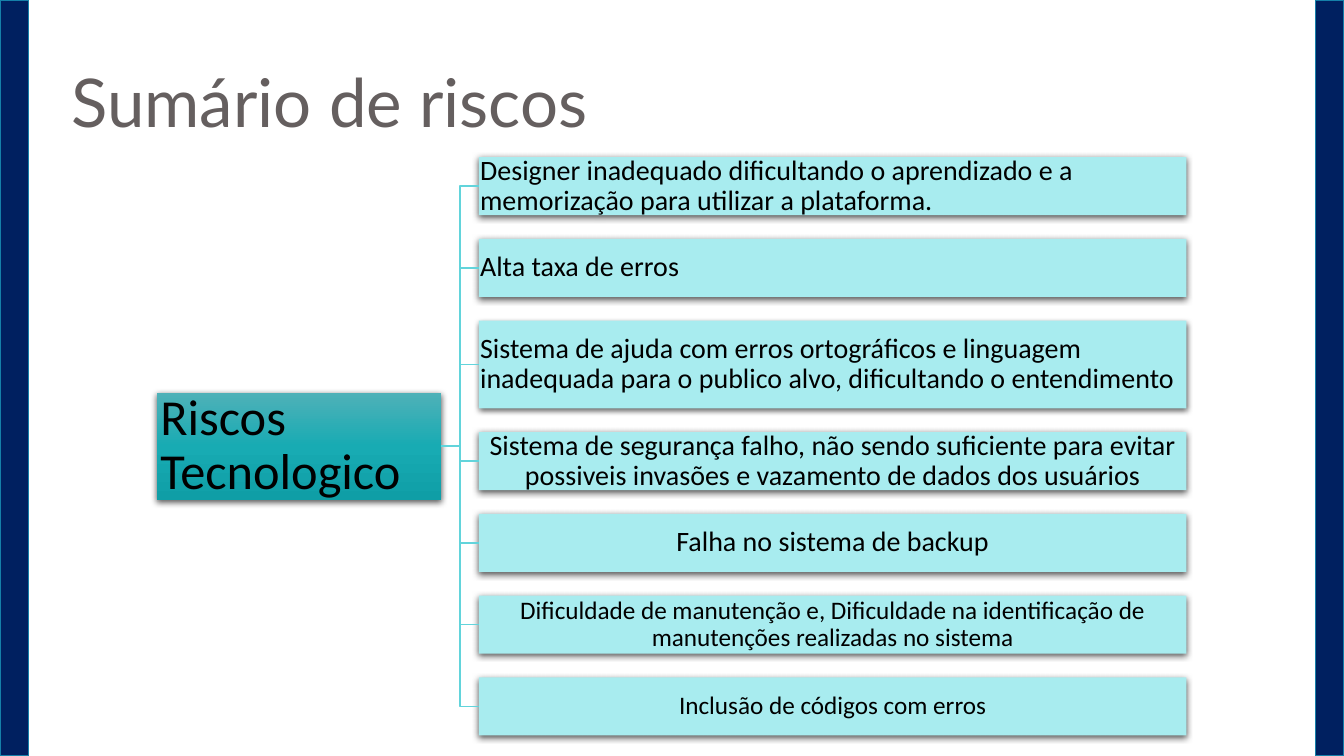
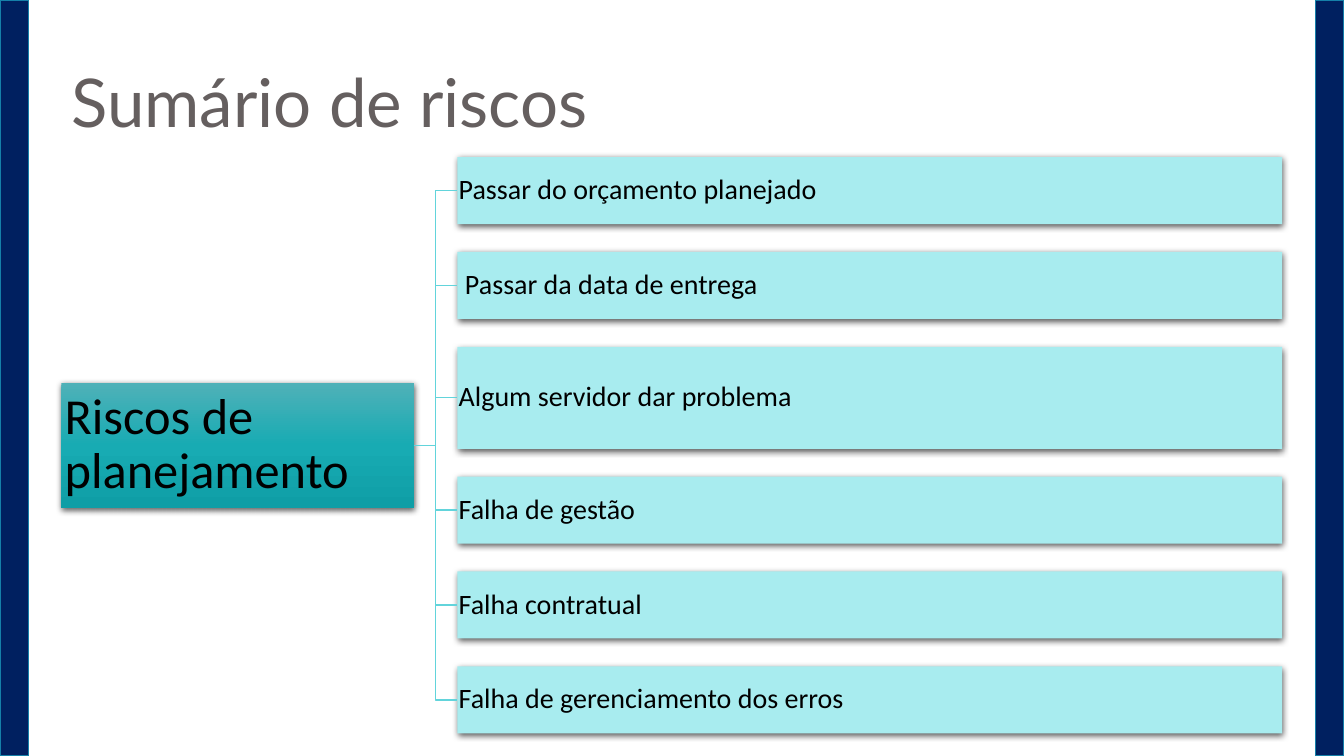
from copy import deepcopy
from dataclasses import dataclass

from lxml import etree
from pptx import Presentation
from pptx.dml.color import RGBColor
from pptx.enum import shapes, text
from pptx.oxml import ns
from pptx.util import Cm, Pt

NAVY = RGBColor(0x00, 0x20, 0x60)
BAND_EDGE = RGBColor(0x15, 0x80, 0xA9)
TITLE_GREY = RGBColor(0x65, 0x5F, 0x5F)
BLACK = RGBColor(0x00, 0x00, 0x00)
BRANCH = RGBColor(0x62, 0xD4, 0xDB)
RISK_FILL = RGBColor(0xA8, 0xEC, 0xEF)
CATEGORY_STOPS = (
    (0, RGBColor(0x4F, 0xB1, 0xB8)),
    (0.5, RGBColor(0x18, 0xAB, 0xB3)),
    (1, RGBColor(0x0F, 0x9E, 0xA6)),
)
BODY_FONT, TITLE_FONT = "Calibri", "Lato"

# Lengths in centimetres
SLIDE_W, SLIDE_H = 33.87, 19.05
BAND_W = 0.72
TREE_TOP = 3.96
RIGHT_SITE, LEFT_SITE = 3, 1  # connection sites of a rectangle

LEFT, CENTER = text.PP_ALIGN.LEFT, text.PP_ALIGN.CENTER


@dataclass
class Risk:
    wording: str
    align: text.PP_ALIGN = LEFT
    size: int = 20
    tall: bool = False


@dataclass
class RiskTree:
    category: str
    category_box: tuple  # left, width, height
    risk_left: float
    risk_width: float
    risk_height: float
    tall_height: float
    gap: float
    risks: list


TREES = [
    RiskTree("Riscos Tecnologico", (3.96, 7.15, 2.7), 12.07, 17.83, 1.46, 2.21, 0.6, [
        Risk("Designer inadequado dificultando o aprendizado e a memorização "
             "para utilizar a plataforma."),
        Risk("Alta taxa de erros"),
        Risk("Sistema de ajuda com erros ortográficos e linguagem inadequada "
             "para o publico alvo, dificultando o entendimento", tall=True),
        Risk("Sistema de segurança falho, não sendo suficiente para evitar "
             "possiveis invasões e vazamento de dados dos usuários", CENTER),
        Risk("Falha no sistema de backup", CENTER),
        Risk("Dificuldade de manutenção e, Dificuldade na identificação de "
             "manutenções realizadas no sistema", CENTER, 18),
        Risk("Inclusão de códigos com erros", CENTER, 18),
    ]),
    RiskTree("Riscos de planejamento", (1.55, 8.88, 3.15), 11.53, 20.78, 1.69, 2.57, 0.7, [
        Risk("Passar do orçamento planejado"),
        Risk(" Passar da data de entrega"),
        Risk("Algum servidor dar problema", tall=True),
        Risk("Falha de gestão"),
        Risk("Falha contratual"),
        Risk("Falha de gerenciamento dos erros"),
    ]),
]


def write(shape, wording, font, size, color, align=LEFT, anchor=text.MSO_ANCHOR.MIDDLE):
    frame = shape.text_frame
    frame.text = wording
    frame.word_wrap = True
    frame.vertical_anchor = anchor
    paragraph = frame.paragraphs[0]
    paragraph.alignment = align
    paragraph.line_spacing = 0.9
    run_font = paragraph.runs[0].font
    run_font.name, run_font.size = font, Pt(size)
    run_font.color.rgb = color


def add_rectangle(slide, left, top, width, height):
    box = slide.shapes.add_shape(
        shapes.MSO_SHAPE.RECTANGLE, Cm(left), Cm(top), Cm(width), Cm(height))
    box.shadow.inherit = False
    return box


def add_band(slide, left):
    band = add_rectangle(slide, left, 0, BAND_W, SLIDE_H)
    band.fill.solid()
    band.fill.fore_color.rgb = NAVY
    band.line.color.rgb = BAND_EDGE
    band.line.width = Pt(1)


def add_title(slide, wording):
    title = slide.shapes.add_textbox(Cm(1.55), Cm(1.04), Cm(25.1), Cm(2.67))
    write(title, wording, TITLE_FONT, 48, TITLE_GREY, anchor=text.MSO_ANCHOR.BOTTOM)


def cast_shadow(shape):
    effects = shape.element.spPr.find(ns.qn("a:effectLst"))
    shadow = etree.SubElement(effects, ns.qn("a:outerShdw"), blurRad=str(Pt(4.5)),
                              dist=str(Pt(1.5)), dir="5400000", rotWithShape="0")
    color = etree.SubElement(shadow, ns.qn("a:srgbClr"), val="000000")
    etree.SubElement(color, ns.qn("a:alpha"), val="63000")


def add_card(slide, left, top, width, height, inset):
    """Borderless box with a soft shadow and narrow text margins."""
    card = add_rectangle(slide, left, top, width, height)
    card.line.fill.background()
    cast_shadow(card)
    frame = card.text_frame
    frame.margin_left = frame.margin_right = Cm(inset)
    frame.margin_top = frame.margin_bottom = Cm(inset)
    return card


def fill_category(card):
    card.fill.gradient()
    card.fill.gradient_angle = 270  # top to bottom
    stop_list = card.element.spPr.find(".//" + ns.qn("a:gsLst"))
    stop_list.append(deepcopy(stop_list[0]))
    for stop, (position, color) in zip(card.fill.gradient_stops, CATEGORY_STOPS):
        stop.position = position
        stop.color.rgb = color


def add_branch(slide, category, risk):
    branch = slide.shapes.add_connector(shapes.MSO_CONNECTOR.ELBOW, 0, 0, 0, 0)
    branch.begin_connect(category, RIGHT_SITE)
    branch.end_connect(risk, LEFT_SITE)
    branch.line.color.rgb = BRANCH
    branch.line.width = Pt(1)
    etree.SubElement(branch.element.spPr, ns.qn("a:effectLst"))


def add_tree(slide, tree):
    heights = [tree.tall_height if risk.tall else tree.risk_height for risk in tree.risks]
    tree_height = sum(heights) + tree.gap * (len(heights) - 1)

    left, width, height = tree.category_box
    category = add_card(
        slide, left, TREE_TOP + (tree_height - height) / 2, width, height, 0.08)
    fill_category(category)
    write(category, tree.category, BODY_FONT, 36, BLACK)

    top = TREE_TOP
    for risk, height in zip(tree.risks, heights):
        card = add_card(slide, tree.risk_left, top, tree.risk_width, height, 0.03)
        card.fill.solid()
        card.fill.fore_color.rgb = RISK_FILL
        write(card, risk.wording, BODY_FONT, risk.size, BLACK, risk.align)
        add_branch(slide, category, card)
        top += height + tree.gap


def main():
    deck = Presentation()
    deck.slide_width, deck.slide_height = Cm(SLIDE_W), Cm(SLIDE_H)
    blank = deck.slide_layouts[6]
    for tree in TREES:
        slide = deck.slides.add_slide(blank)
        add_tree(slide, tree)
        add_title(slide, "Sumário de riscos")
        for left in (0, SLIDE_W - BAND_W):
            add_band(slide, left)
    deck.save("out.pptx")


if __name__ == "__main__":
    main()
